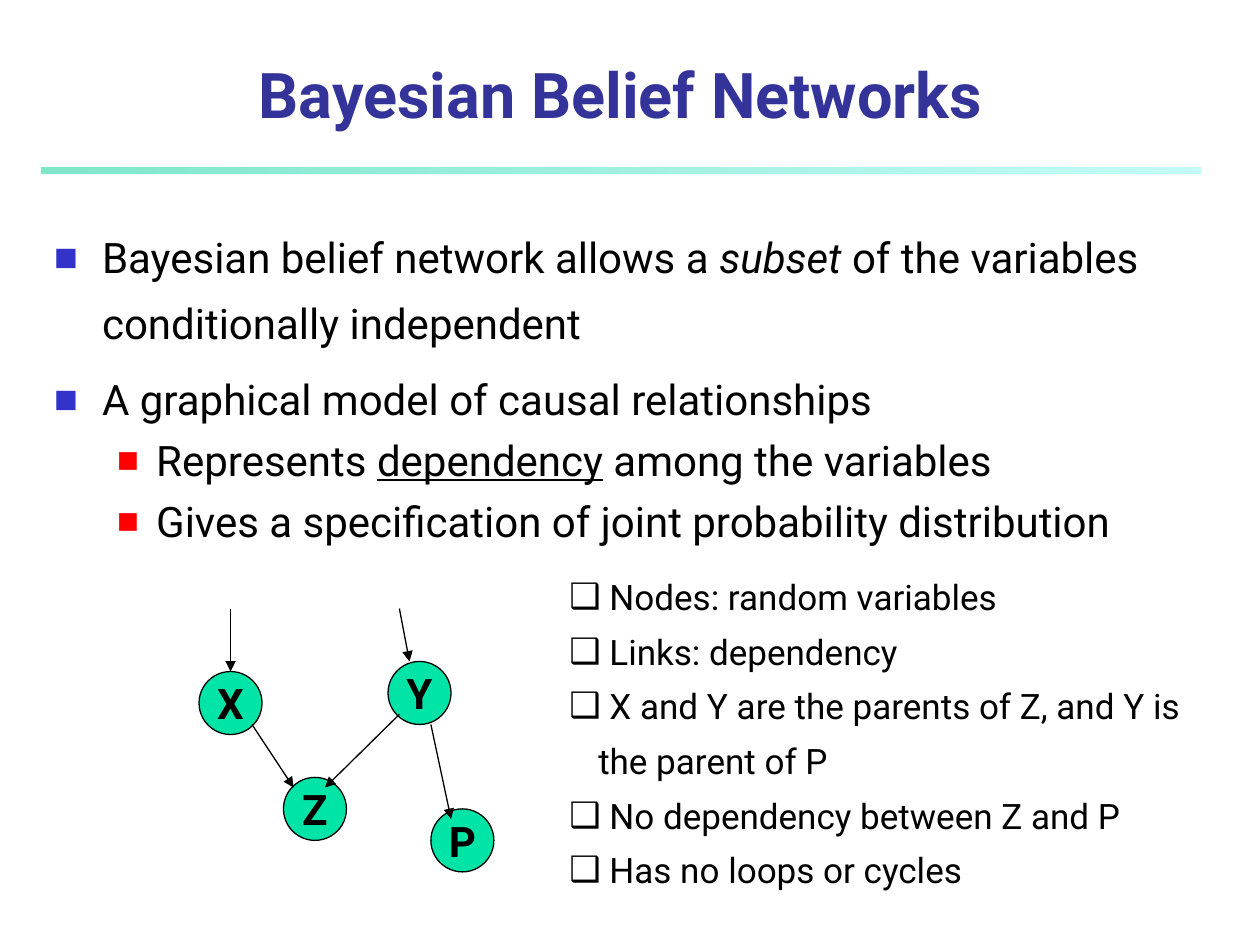
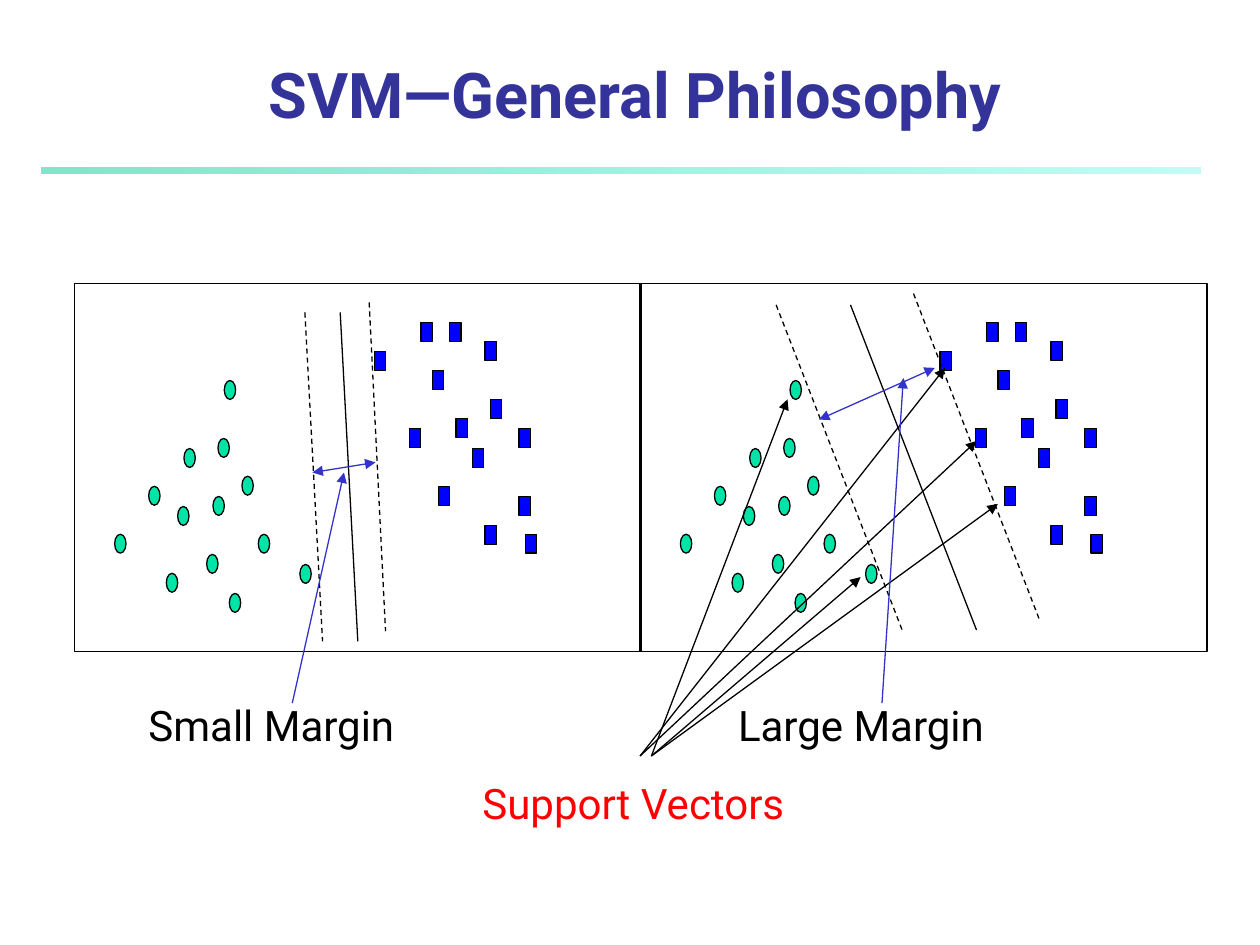
from lxml import etree
from pptx import Presentation
from pptx import util as u
from pptx.dml.color import RGBColor
from pptx.enum import dml, shapes, text
from pptx.oxml.ns import qn

FONT = "Roboto"
C = {
    "title": "333399", "black": "000000", "green": "00E4A8", "square": "0000FF",
    "accent": "3333CC", "red": "FF0000", "band_left": "00CE98", "band_right": "8FF9EF",
}
rgb = {name: RGBColor.from_string(value) for name, value in C.items()}
MSO = shapes.MSO_SHAPE

prs = Presentation()
prs.slide_width, prs.slide_height = u.Inches(10), u.Inches(7.5)


def shape(s, kind, x, y, w, h, fill=None):
    """Outlined shape, filled when a colour is named."""
    sp = s.shapes.add_shape(kind, *map(u.Inches, (x, y, w, h)))
    sp.shadow.inherit = False
    if fill:
        sp.fill.solid()
        sp.fill.fore_color.rgb = rgb[fill]
    else:
        sp.fill.background()
    sp.line.color.rgb = rgb["black"]
    sp.line.width = u.Pt(0.75)
    return sp


def line(s, start, end, color="black", dash=False, ends=("tailEnd",)):
    """Thin straight line with arrowheads at the named ends."""
    cx = s.shapes.add_connector(shapes.MSO_CONNECTOR.STRAIGHT,
                                *map(u.Inches, (*start, *end)))
    cx.line.color.rgb = rgb[color]
    cx.line.width = u.Pt(0.75)
    if dash:
        cx.line.dash_style = dml.MSO_LINE.DASH
    ln = cx.line._get_or_add_ln()
    for tag in ends:
        etree.SubElement(ln, qn(f"a:{tag}"), type="triangle")
    etree.SubElement(cx._element.spPr, qn("a:effectLst"))


# Shared frame: gradient band and title
slides = []
for layout, title, width in ((1, "Bayesian Belief Networks", 9.19),
                             (5, "SVM—General Philosophy", 9.42)):
    s = prs.slides.add_slide(prs.slide_layouts[layout])
    slides.append(s)
    sp = shape(s, MSO.RECTANGLE, 0.33, 1.33, 9.2, 0.05)
    sp.line.fill.background()
    sp.fill.gradient()
    sp.fill.gradient_angle = 180
    for stop, name, alpha in zip(sp.fill.gradient_stops, ("band_right", "band_left"), (52, 50)):
        stop.color.rgb = rgb[name]
        clr = stop._gs.find(qn("a:srgbClr"))
        etree.SubElement(clr, qn("a:alpha"), val=str(alpha * 1000))

    sp = s.shapes.title
    sp.left, sp.top, sp.width, sp.height = map(u.Inches, (0.33, 0.42, width, 0.67))
    tf = sp.text_frame
    tf.text = title
    tf.auto_size = text.MSO_AUTO_SIZE.NONE
    tf.vertical_anchor = text.MSO_ANCHOR.BOTTOM
    p = tf.paragraphs[0]
    p.alignment = text.PP_ALIGN.CENTER
    f = p.runs[0].font
    f.size, f.bold, f.color.rgb = u.Pt(36), True, rgb["title"]

# Slide 1: lists
s = slides[0]
body = s.placeholders[1]
body.left, body.top, body.width, body.height = map(u.Inches, (0.33, 1.67, 9.33, 5.5))
notes = s.shapes.add_textbox(*map(u.Inches, (4.42, 4.42, 5.4, 2.7)))

# level, bullet, bullet colour, bullet size %, left, hang, line spacing, space before
main = (0, "■", "accent", 60, 0.38, 0.38, 1.3, 6)
sub = (1, "■", "red", 55, 0.81, 0.31, 1.0, 6)
box = (0, "❑", "black", 100, 0.23, 0.23, 1.3, 0)
lists = (
    (body, 24, (
        (main, (("Bayesian belief network allows a ", ""), ("subset", "italic"),
                (" of the variables conditionally independent", ""))),
        (main, (("A graphical model of causal relationships", ""),)),
        (sub, (("Represents ", ""), ("dependency", "underline"),
               (" among the variables", ""))),
        (sub, (("Gives a specification of joint probability distribution", ""),)),
    )),
    (notes, 20, [(box, ((words, ""),)) for words in (
        " Nodes: random variables",
        " Links: dependency",
        " X and Y are the parents of Z, and Y is the parent of P",
        " No dependency between Z and P",
        " Has no loops or cycles",
    )]),
)
for sp, size, items in lists:
    tf = sp.text_frame
    tf.word_wrap = True
    tf.auto_size = text.MSO_AUTO_SIZE.NONE
    for i, (style, pieces) in enumerate(items):
        level, char, color, percent, left, hang, spacing, before = style
        p = tf.add_paragraph() if i else tf.paragraphs[0]
        pPr = p._p.get_or_add_pPr()
        pPr.set("marL", str(u.Inches(left)))
        pPr.set("indent", str(-u.Inches(hang)))
        clr = etree.SubElement(pPr, qn("a:buClr"))
        etree.SubElement(clr, qn("a:srgbClr"), val=C[color])
        etree.SubElement(pPr, qn("a:buSzPct"), val=str(percent * 1000))
        etree.SubElement(pPr, qn("a:buFont"), typeface=FONT)
        etree.SubElement(pPr, qn("a:buChar"), char=char)
        p.level = level
        p.line_spacing = spacing
        p.space_before = u.Pt(before if i else 0)
        for words, emphasis in pieces:
            r = p.add_run()
            r.text = words
            r.font.size, r.font.color.rgb = u.Pt(size), rgb["black"]
            if emphasis:
                setattr(r.font, emphasis, True)

# Slide 1: network nodes and links
for name, x, y in (("X", 1.58, 5.33), ("Y", 3.08, 5.25), ("Z", 2.25, 6.17), ("P", 3.42, 6.42)):
    sp = shape(s, MSO.FLOWCHART_CONNECTOR, x, y, 0.5, 0.5, "green")
    tf = sp.text_frame
    tf.text = name
    tf.word_wrap = False
    tf.vertical_anchor = text.MSO_ANCHOR.MIDDLE
    p = tf.paragraphs[0]
    p.alignment = text.PP_ALIGN.CENTER
    f = p.runs[0].font
    f.size, f.bold, f.color.rgb = u.Pt(24), True, rgb["black"]

for start, end in (
    ((2, 5.75), (2.33, 6.25)), ((3.17, 5.67), (2.58, 6.25)), ((3.42, 5.75), (3.58, 6.5)),
    ((1.83, 4.83), (1.83, 5.33)), ((3.17, 4.83), (3.25, 5.25)),
):
    line(s, start, end)

# Slide 2: the same points in two panels, each with its own separating lines
s = slides[1]
circles = (
    (1.32, 4.55), (1.41, 4.02), (0.91, 4.24), (1.18, 3.86), (1.64, 4.4), (1.46, 3.56),
    (1.69, 3.94), (1.73, 3.48), (1.92, 3.78), (2.05, 4.24), (1.82, 4.71), (2.38, 4.48),
    (1.78, 3.02),
)
squares = (
    (3.25, 3.4), (2.97, 2.79), (3.34, 2.56), (3.48, 3.86), (3.43, 2.94), (3.62, 3.32),
    (3.57, 2.56), (3.85, 2.71), (3.75, 3.56), (3.89, 3.17), (3.85, 4.17), (4.12, 3.4),
    (4.12, 3.94), (4.17, 4.24),
)
small_lines = (((2.93, 2.4), (3.06, 5.01), True), ((2.42, 2.48), (2.56, 5.09), True),
               ((2.7, 2.48), (2.84, 5.09), False))
large_lines = (((6.16, 2.42), (7.16, 5), True), ((7.25, 2.33), (8.25, 4.92), True),
               ((6.75, 2.42), (7.75, 5), False))
for dx, separators in ((0, small_lines), (4.49, large_lines)):
    for kind, fill, points in ((MSO.OVAL, "green", circles), (MSO.RECTANGLE, "square", squares)):
        for x, y in points:
            shape(s, kind, x + dx, y, 0.09, 0.15, fill)
    shape(s, MSO.RECTANGLE, 0.59 + dx, 2.25, 4.5, 2.92)
    for start, end, dash in separators:
        line(s, start, end, dash=dash, ends=())

# Slide 2: arrows to the support vectors and margins
for start_x, end in ((5.08, (7.5, 2.92)), (5.08, (7.75, 3.5)), (5.17, (7.92, 4)),
                     (5.17, (6.83, 4.58)), (5.17, (6.25, 3.17))):
    line(s, (start_x, 6), end)
for start, end in (((2.48, 3.75), (2.98, 3.67)), ((6.5, 3.33), (7.42, 2.92))):
    line(s, start, end, "accent", ends=("headEnd", "tailEnd"))
for start, end in (((2.32, 5.58), (2.73, 3.75)), ((7, 5.58), (7.17, 3))):
    line(s, start, end, "accent")

# Slide 2: labels
for words, x, y, w, color in (("Support Vectors", 3.73, 6.12, 2.71, "red"),
                              ("Small Margin", 1.08, 5.5, 2.26, "black"),
                              ("Large Margin", 5.76, 5.5, 2.3, "black")):
    tf = s.shapes.add_textbox(*map(u.Inches, (x, y, w, 0.5))).text_frame
    tf.text = words
    tf.word_wrap = False
    f = tf.paragraphs[0].runs[0].font
    f.size, f.color.rgb = u.Pt(24), rgb[color]

# One typeface throughout
for s in slides:
    for sp in s.shapes:
        if sp.has_text_frame:
            for p in sp.text_frame.paragraphs:
                for r in p.runs:
                    r.font.name = FONT

prs.save("out.pptx")
